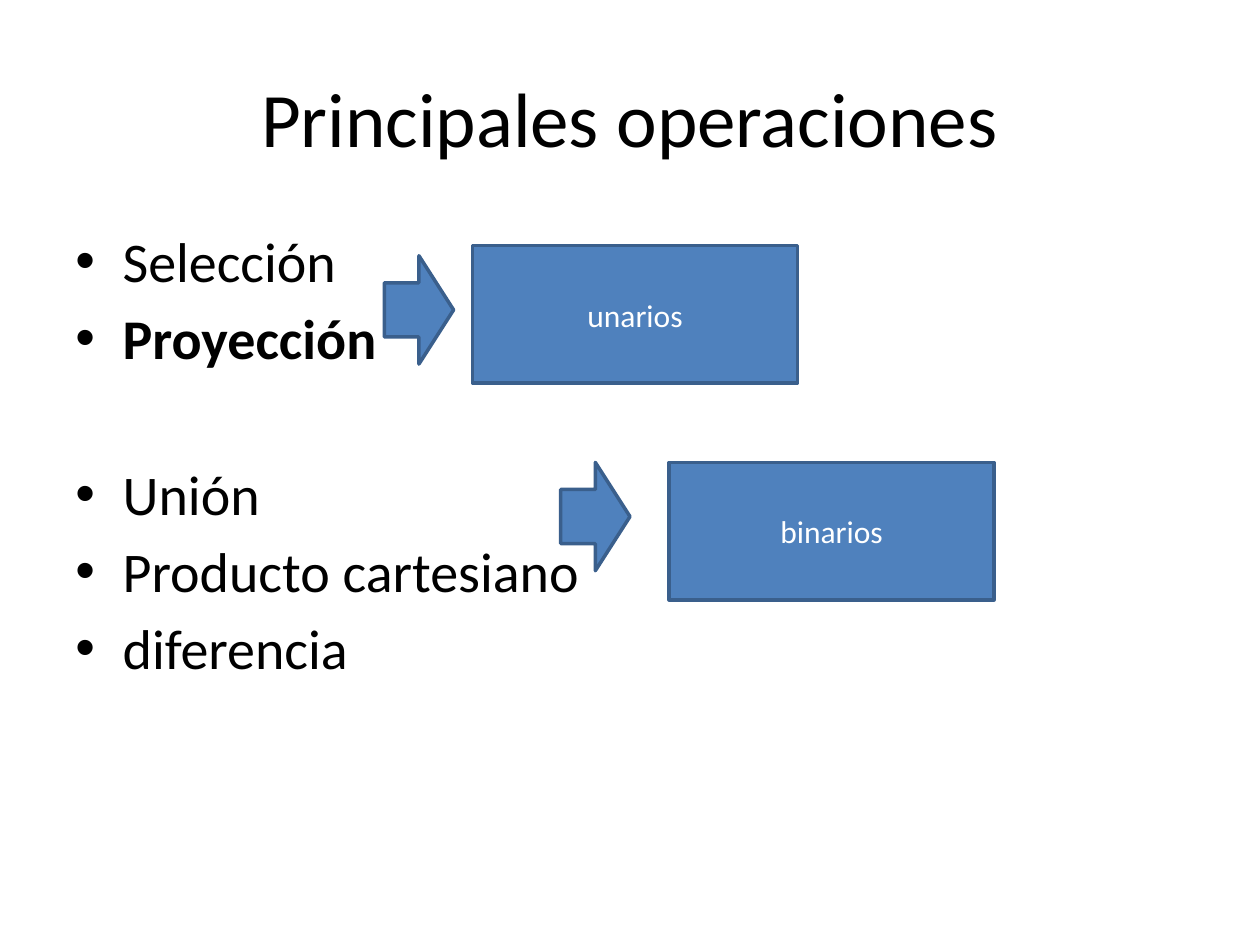
import pptx
import pptx.util
import pptx.dml.color
import pptx.enum.shapes
import pptx.enum.text
import pptx.oxml.ns
import lxml.etree

Pt = pptx.util.Pt
SHAPES = pptx.enum.shapes.MSO_SHAPE
ALIGN = pptx.enum.text.PP_ALIGN
ANCHOR = pptx.enum.text.MSO_ANCHOR

COLOURS = {"text": "000000", "label": "FFFFFF", "fill": "4F81BD", "line": "3A5F8C"}
LINE_PITCH = 44.7  # one list line with its space before
LIST_SPACE = 5.65


def colour(name):
    return pptx.dml.color.RGBColor.from_string(COLOURS[name])


def write(paragraph, text, *, size, font="Calibri", color="text", bold=False,
          align=ALIGN.LEFT, space_before=0):
    """Put formatted text into a paragraph."""
    paragraph.alignment = align
    paragraph.space_before = Pt(space_before)
    run = paragraph.add_run()
    run.text = text
    run.font.name = font
    run.font.size = Pt(size)
    run.font.bold = bold
    run.font.color.rgb = colour(color)


class SlideBuilder:
    def __init__(self, slide):
        self.slide = slide

    def text_frame(self, left, top, width, height, anchor):
        shape = self.slide.shapes.add_textbox(Pt(left), Pt(top), Pt(width), Pt(height))
        frame = shape.text_frame
        frame.word_wrap = True
        frame.vertical_anchor = anchor
        return frame

    def title(self, text, *box):
        frame = self.text_frame(*box, ANCHOR.MIDDLE)
        write(frame.paragraphs[0], text, size=44, align=ALIGN.CENTER)

    def bullets(self, items, *box):
        """Each item is text, bold, and whether a one-line gap precedes it."""
        frame = self.text_frame(*box, ANCHOR.TOP)
        for index, (text, bold, gap) in enumerate(items):
            paragraph = frame.add_paragraph() if index else frame.paragraphs[0]
            space = LIST_SPACE + (LINE_PITCH if gap else 0)
            write(paragraph, text, size=32, bold=bold, space_before=space)
            properties = paragraph._p.get_or_add_pPr()
            properties.set("marL", str(Pt(27)))
            properties.set("indent", str(-Pt(27)))
            for tag, key, value in (("a:buFont", "typeface", "Arial"),
                                    ("a:buChar", "char", "•")):
                lxml.etree.SubElement(properties, pptx.oxml.ns.qn(tag)).set(key, value)

    def block(self, kind, left, top, width, height):
        shape = self.slide.shapes.add_shape(kind, Pt(left), Pt(top), Pt(width), Pt(height))
        shape.shadow.inherit = False
        shape.fill.solid()
        shape.fill.fore_color.rgb = colour("fill")
        shape.line.color.rgb = colour("line")
        shape.line.width = Pt(2)
        return shape

    def label_box(self, text, left, top):
        frame = self.block(SHAPES.RECTANGLE, left, top, 185.76, 78.48).text_frame
        frame.vertical_anchor = ANCHOR.MIDDLE
        write(frame.paragraphs[0], text, size=18, color="label", align=ALIGN.CENTER)

    def arrow(self, left, top):
        self.block(SHAPES.RIGHT_ARROW, left, top, 39.6, 61.92)


def main():
    presentation = pptx.Presentation()
    presentation.slide_width, presentation.slide_height = Pt(720), Pt(540)
    builder = SlideBuilder(presentation.slides.add_slide(presentation.slide_layouts[6]))

    # Title and list of operations
    builder.title("Principales operaciones", 36, 21.6, 648, 90)
    builder.bullets([
        ("Selección", False, False),
        ("Proyección", True, False),
        ("Unión", False, True),
        ("Producto cartesiano", False, False),
        ("diferencia", False, False),
    ], 36, 126, 648, 356.4)

    # Operation groups, each with its arrow
    for text, box_left, box_top, arrow_left, arrow_top in (
        ("unarios", 270, 140.4, 219.6, 146.16),
        ("binarios", 382.32, 264.24, 320.4, 264.24),
    ):
        builder.label_box(text, box_left, box_top)
        builder.arrow(arrow_left, arrow_top)

    presentation.save("out.pptx")


if __name__ == "__main__":
    main()
